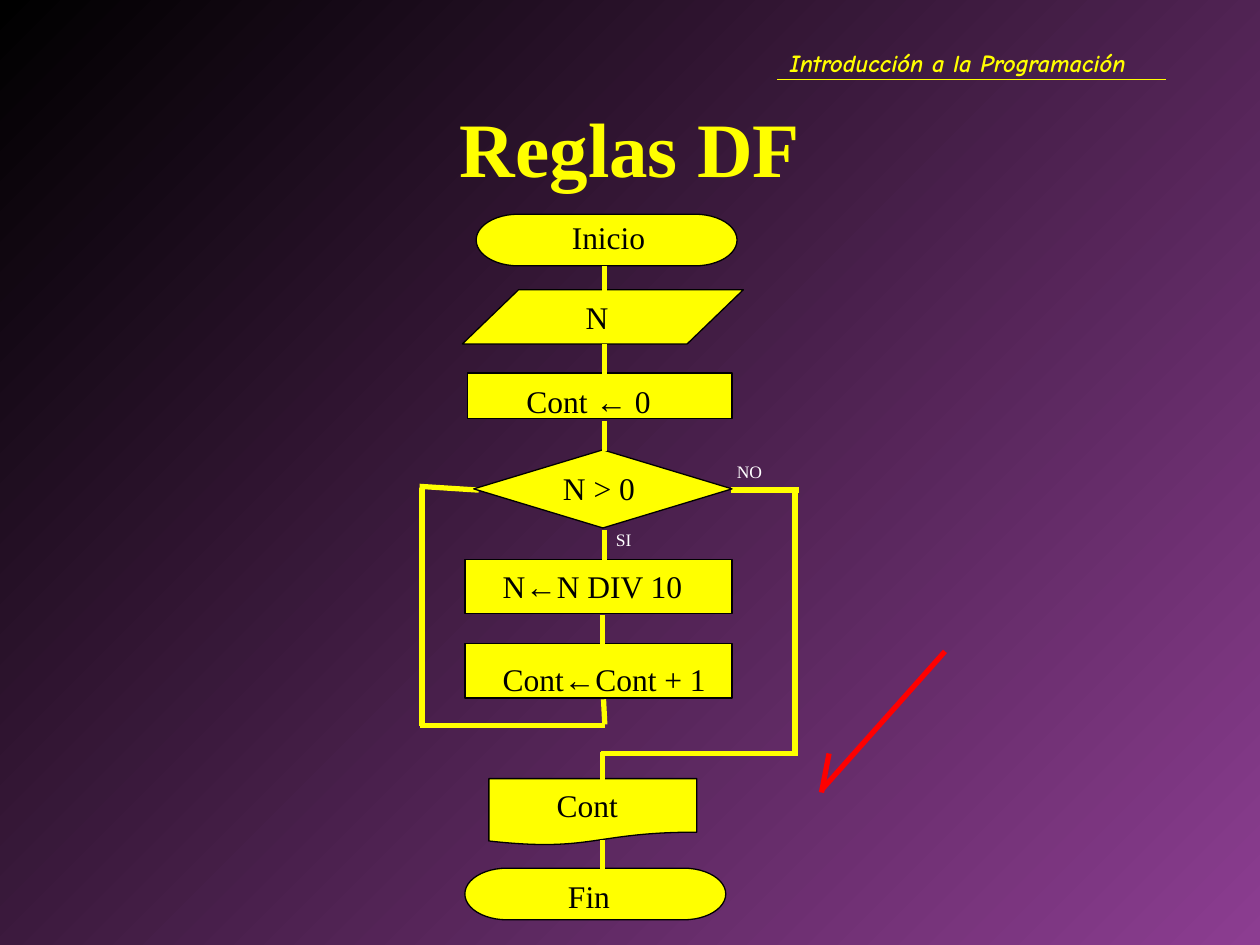
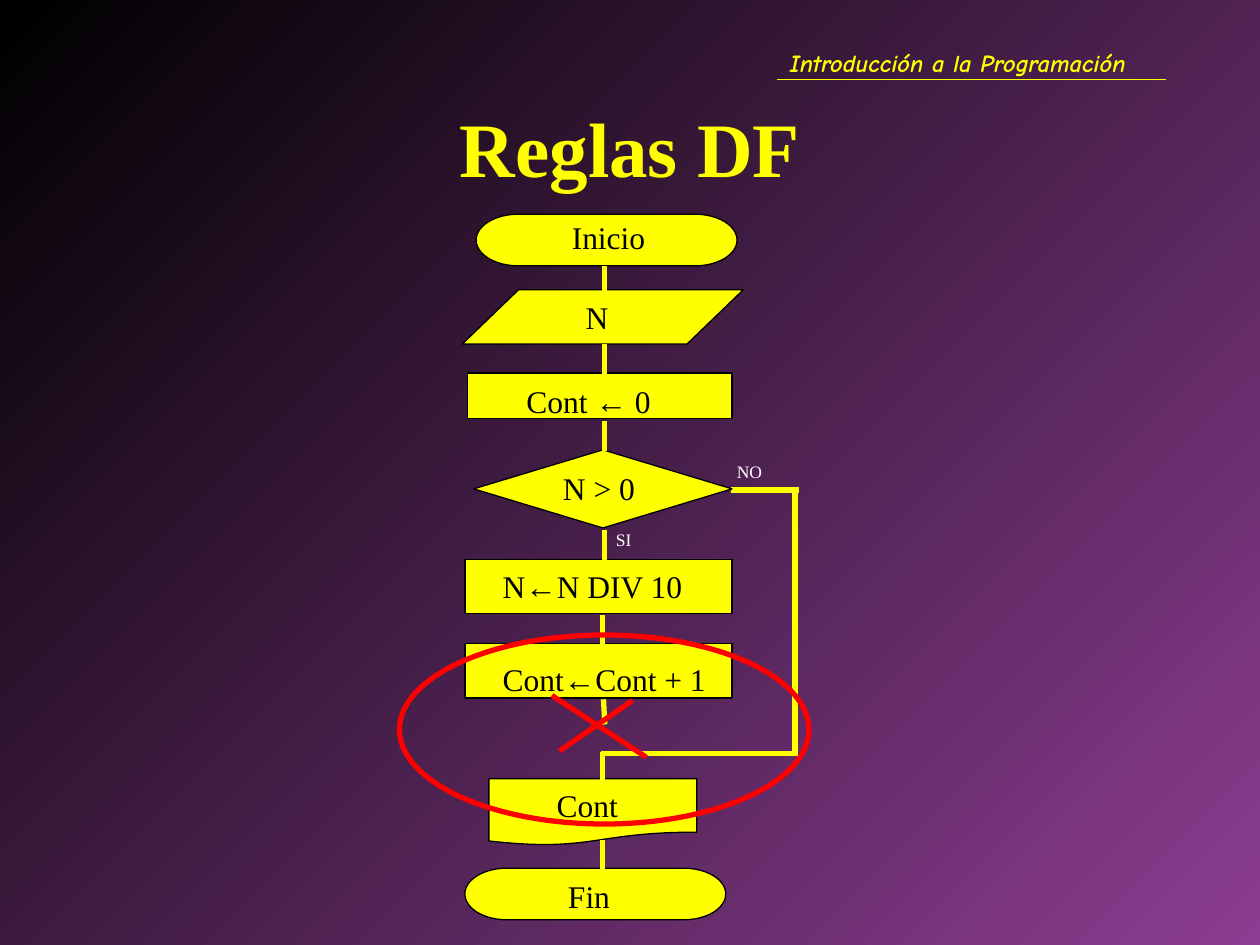
"""Build two slides that show a right and a wrong flowchart for counting digits."""
from dataclasses import dataclass

from lxml import etree
from pptx import Presentation
from pptx.dml.color import RGBColor
from pptx.enum.shapes import MSO_CONNECTOR, MSO_SHAPE
from pptx.enum.text import MSO_ANCHOR, PP_ALIGN
from pptx.oxml.ns import qn
from pptx.util import Inches, Pt

STRAIGHT = MSO_CONNECTOR.STRAIGHT
ELLIPSE = MSO_SHAPE.OVAL
RECTANGLE = MSO_SHAPE.RECTANGLE
TERMINATOR = MSO_SHAPE.FLOWCHART_TERMINATOR
DATA = MSO_SHAPE.FLOWCHART_DATA
PROCESS = MSO_SHAPE.FLOWCHART_PROCESS
DECISION = MSO_SHAPE.FLOWCHART_DECISION
DOCUMENT = MSO_SHAPE.FLOWCHART_DOCUMENT
LEFT, CENTER = PP_ALIGN.LEFT, PP_ALIGN.CENTER
TOP, MIDDLE = MSO_ANCHOR.TOP, MSO_ANCHOR.MIDDLE

COLORS = {
    "start": "000000",
    "end": "8C3D91",
    "accent": "FFFF00",
    "ink": "000000",
    "branch": "FFFFFF",
    "mark": "FF0000",
}
SERIF, ARROW_FONT, HEADER_FONT = "Times New Roman", "Arial", "Comic Neue"
ARROW = "←"
THIN, THICK = 0.75, 3


@dataclass(frozen=True)
class Box:
    left: float
    top: float
    width: float
    height: float


@dataclass(frozen=True)
class TextStyle:
    size: float
    color: str
    font: str = SERIF
    bold: bool = False
    italic: bool = False
    align: PP_ALIGN = LEFT
    anchor: MSO_ANCHOR = TOP


@dataclass(frozen=True)
class Label:
    text: str
    box: Box
    style: TextStyle


@dataclass(frozen=True)
class Node:
    kind: MSO_SHAPE
    box: Box
    label: Label


@dataclass(frozen=True)
class Segment:
    start: tuple[float, float]
    end: tuple[float, float]
    color: str = "accent"
    weight: float = THICK


NODE_STYLE = TextStyle(18, "ink")
BRANCH_STYLE = TextStyle(10, "branch")
HEADER = Label(
    "Introducción a la Programación",
    Box(6.17, 0.33, 3.25, 0.34),
    TextStyle(14, "accent", HEADER_FONT, bold=True, italic=True),
)
HEADER_RULE = Segment((6.17, 0.63), (9.25, 0.63), weight=THIN)
TITLE = Label(
    "Reglas DF",
    Box(0.75, 0.67, 8.5, 0.99),
    TextStyle(44, "accent", bold=True, align=CENTER, anchor=MIDDLE),
)


def node_label(text: str, left: float, top: float, width: float = 1.27) -> Label:
    return Label(text, Box(left, top, width, 0.4), NODE_STYLE)


NODES = [
    Node(TERMINATOR, Box(3.78, 1.7, 2.07, 0.41), node_label("Inicio", 4.44, 1.68)),
    Node(DATA, Box(3.67, 2.3, 2.23, 0.43), node_label("N", 4.55, 2.32)),
    Node(RECTANGLE, Box(3.71, 2.96, 2.1, 0.36), node_label("Cont ← 0", 4.08, 2.98, 1.45)),
    Node(DECISION, Box(3.76, 3.57, 2.05, 0.62), node_label("N > 0", 4.37, 3.67)),
    Node(PROCESS, Box(3.69, 4.44, 2.12, 0.43), node_label("N←N DIV 10", 3.89, 4.45, 2.12)),
    Node(PROCESS, Box(3.69, 5.11, 2.12, 0.43), node_label("Cont←Cont + 1", 3.89, 5.19, 2.12)),
    Node(DOCUMENT, Box(3.88, 6.18, 1.65, 0.53), node_label("Cont", 4.32, 6.19)),
    Node(TERMINATOR, Box(3.69, 6.89, 2.07, 0.41), node_label("Fin", 4.41, 6.91)),
]
BRANCHES = [
    Label("SI", Box(4.79, 4.15, 0.47, 0.27), BRANCH_STYLE),
    Label("NO", Box(5.75, 3.61, 0.47, 0.27), BRANCH_STYLE),
]
LINK_HEIGHT = 0.24
LINK_TOPS = {4.8: (2.11, 2.73, 3.34, 4.21), 4.78: (4.88, 5.97, 6.67)}
LINKS = [
    Segment((x, top), (x, top + LINK_HEIGHT))
    for x, tops in LINK_TOPS.items()
    for top in tops
]
LOOP_STUB = Segment((4.79, 5.55), (4.8, 5.75))
EXIT_PATH = [
    Segment((6.31, 3.91), (6.31, 6)),
    Segment((5.8, 3.89), (6.34, 3.89)),
    Segment((4.77, 5.98), (6.33, 5.98)),
]
LOOP_PATH = [
    Segment((3.33, 5.76), (4.8, 5.76)),
    Segment((3.35, 3.87), (3.35, 5.76)),
    Segment((3.33, 3.86), (3.8, 3.89)),
]
CHECK_MARK = [
    Segment((6.52, 6.27), (7.5, 5.17), "mark"),
    Segment((6.58, 5.98), (6.52, 6.29), "mark"),
]
CROSS_MARK = [
    Segment((4.38, 5.52), (5.13, 6.01), "mark"),
    Segment((5.02, 5.56), (4.44, 5.96), "mark"),
]
ERROR_RING = Box(3.17, 5.04, 3.25, 1.5)


def color(name: str) -> RGBColor:
    return RGBColor.from_string(COLORS[name])


def position(box: Box) -> list:
    return [Inches(value) for value in (box.left, box.top, box.width, box.height)]


def add_label(slide, label: Label) -> None:
    style = label.style
    frame = slide.shapes.add_textbox(*position(label.box)).text_frame
    frame.word_wrap = True
    frame.vertical_anchor = style.anchor
    paragraph = frame.paragraphs[0]
    paragraph.alignment = style.align
    for part in filter(None, label.text.partition(ARROW)):
        run = paragraph.add_run()
        run.text = part
        run.font.name = ARROW_FONT if part == ARROW else style.font
        run.font.size = Pt(style.size)
        run.font.bold = style.bold
        run.font.italic = style.italic
        run.font.color.rgb = color(style.color)


def add_segments(slide, segments: list[Segment]) -> None:
    for segment in segments:
        points = [Inches(value) for value in (*segment.start, *segment.end)]
        connector = slide.shapes.add_connector(STRAIGHT, *points)
        connector.line.color.rgb = color(segment.color)
        connector.line.width = Pt(segment.weight)
        etree.SubElement(connector.line._get_or_add_ln().getparent(), qn("a:effectLst"))


def add_outlined_shape(slide, kind: MSO_SHAPE, box: Box, line: str, weight: float):
    shape = slide.shapes.add_shape(kind, *position(box))
    shape.shadow.inherit = False
    shape.fill.background()
    shape.line.color.rgb = color(line)
    shape.line.width = Pt(weight)
    return shape


def add_nodes(slide) -> None:
    for node in NODES:
        shape = add_outlined_shape(slide, node.kind, node.box, "ink", THIN)
        shape.fill.solid()
        shape.fill.fore_color.rgb = color("accent")


def add_base_slide(presentation):
    slide = presentation.slides.add_slide(presentation.slide_layouts[6])
    fill = slide.background.fill
    fill.gradient()
    fill.gradient_angle = 315
    for stop, name in zip(fill.gradient_stops, ("start", "end")):
        stop.color.rgb = color(name)
    add_label(slide, HEADER)
    add_segments(slide, [HEADER_RULE])
    add_label(slide, TITLE)
    return slide


def add_flowchart(slide, paths: list[Segment]) -> None:
    add_segments(slide, paths)
    add_nodes(slide)
    add_segments(slide, LINKS)
    for label in [node.label for node in NODES] + BRANCHES:
        add_label(slide, label)


def main() -> None:
    presentation = Presentation()
    presentation.slide_width = Inches(10)
    presentation.slide_height = Inches(7.5)

    right_slide = add_base_slide(presentation)
    add_flowchart(right_slide, [LOOP_STUB, *LOOP_PATH, *EXIT_PATH])
    add_segments(right_slide, CHECK_MARK)

    wrong_slide = add_base_slide(presentation)
    add_flowchart(wrong_slide, [LOOP_STUB, *EXIT_PATH])
    add_outlined_shape(wrong_slide, ELLIPSE, ERROR_RING, "mark", THICK)
    add_segments(wrong_slide, CROSS_MARK)

    presentation.save("out.pptx")


if __name__ == "__main__":
    main()
